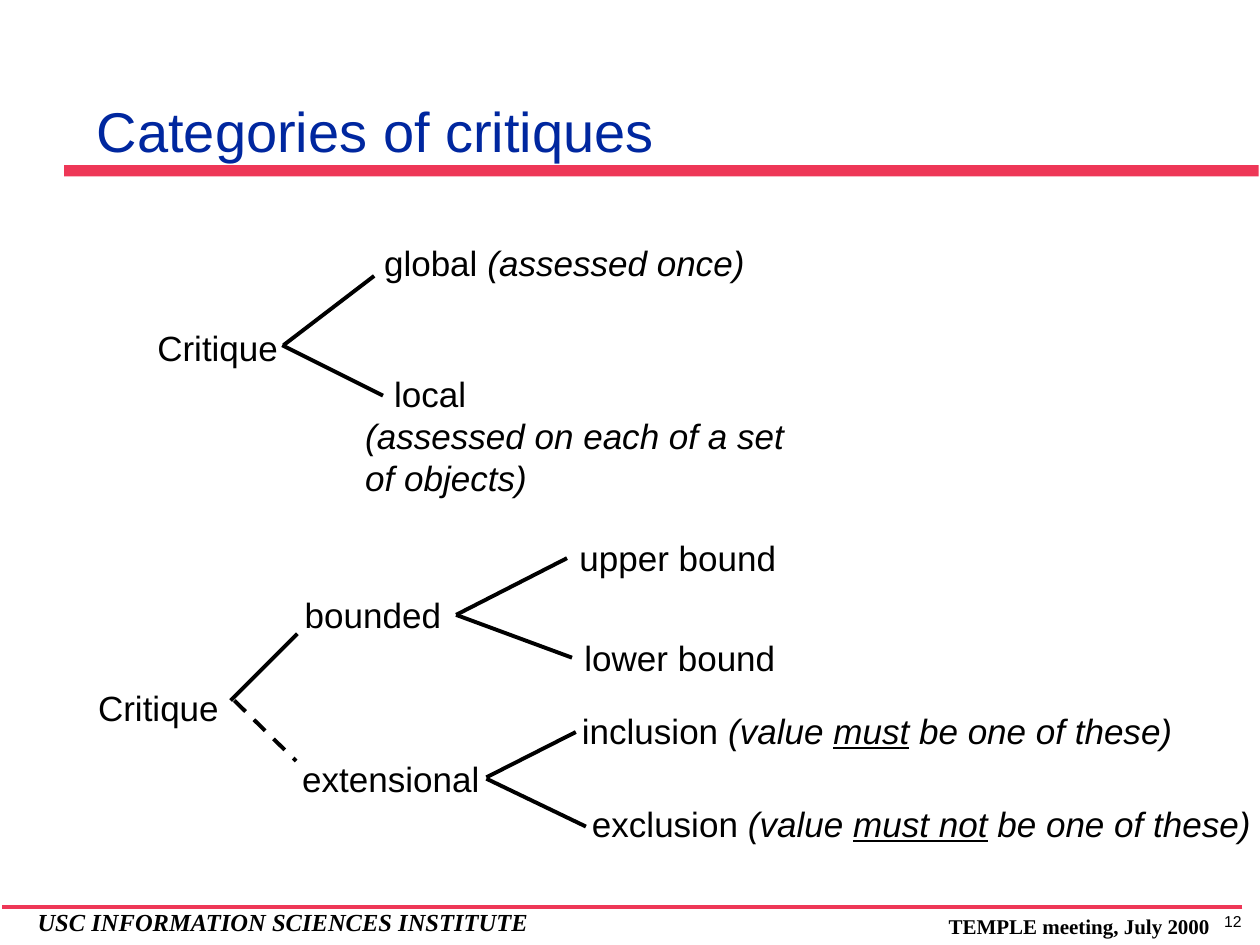
from pptx import Presentation
from pptx.dml.color import RGBColor
from pptx.enum.dml import MSO_LINE
from pptx.enum.shapes import MSO_CONNECTOR, MSO_SHAPE
from pptx.enum.text import MSO_ANCHOR, MSO_AUTO_SIZE, PP_ALIGN
from pptx.oxml.ns import qn
from pptx.util import Inches, Pt
from lxml import etree

BLACK = RGBColor(0x00, 0x00, 0x00)
BLUE = RGBColor(0x00, 0x27, 0x9F)
RED = RGBColor(0xEE, 0x37, 0x57)
SANS, SERIF = "Arial", "Times New Roman"
RECT, LINE = MSO_SHAPE.RECTANGLE, MSO_CONNECTOR.STRAIGHT
CENTER, BOTTOM, TOP = PP_ALIGN.CENTER, MSO_ANCHOR.BOTTOM, MSO_ANCHOR.TOP
DASH = MSO_LINE.DASH
GROW, FIXED = MSO_AUTO_SIZE.SHAPE_TO_FIT_TEXT, MSO_AUTO_SIZE.NONE
LEFT_SIDE, RIGHT_SIDE = 1, 3


class Page:
    def __init__(self, slide, font=SANS, size=20, color=BLACK):
        self.slide = slide
        self.font, self.size, self.color = font, size, color

    def bar(self, x, y, w, h, color):
        shape = self.slide.shapes.add_shape(
            RECT, Inches(x), Inches(y), Inches(w), Inches(h))
        shape.shadow.inherit = False
        shape.fill.solid()
        shape.fill.fore_color.rgb = color
        shape.line.fill.background()

    def text(self, at, *paras, font=None, size=None, color=None, bold=False,
             italic=False, align=None, anchor=TOP, wrap=False, indent=0):
        """Each paragraph is a string or a list of (text, marks), marks from "iu".

        The indent applies to the first paragraph.
        """
        box = self.slide.shapes.add_textbox(*map(Inches, at))
        frame = box.text_frame
        frame.word_wrap = wrap
        frame.auto_size = FIXED if wrap else GROW
        frame.vertical_anchor = anchor
        for i, runs in enumerate(paras):
            para = frame.paragraphs[0] if i == 0 else frame.add_paragraph()
            para.alignment = align
            if indent and i == 0:
                para._p.get_or_add_pPr().set("marL", str(Inches(indent)))
            for words, marks in [(runs, "")] if isinstance(runs, str) else runs:
                run = para.add_run()
                run.text = words
                style = run.font
                style.name = font or self.font
                style.size = Pt(size or self.size)
                style.color.rgb = color or self.color
                style.bold = bold
                style.italic = italic or "i" in marks
                style.underline = "u" in marks
        return box

    def line(self, start, end, color=BLACK, width=2.25, dash=None):
        link = self.slide.shapes.add_connector(
            LINE, *map(Inches, (*start, *end)))
        link.line.color.rgb = color
        link.line.width = Pt(width)
        if dash:
            link.line.dash_style = dash
        etree.SubElement(link._element.spPr, qn("a:effectLst"))
        return link

    def join(self, left, right):
        link = self.line((0, 0), (1, 1))
        link.begin_connect(left, RIGHT_SIDE)
        link.end_connect(right, LEFT_SIDE)


def rule(must):
    return [("(value ", "i"), (must, "iu"), (" be one of these)", "i")]


def main():
    deck = Presentation()
    deck.slide_width, deck.slide_height = Inches(10), Inches(7.5)
    page = Page(deck.slides.add_slide(deck.slide_layouts[6]))

    # Title and footer
    page.bar(0.51, 1.31, 9.48, 0.09, RED)
    page.text((9.4, 7.19, 0.77, 0.25), "12", size=9, align=CENTER)
    page.line((9.86, 7.2), (0.02, 7.2), color=RED, width=2)
    page.text((0.2, 7.15, 4.36, 0.33), "USC INFORMATION SCIENCES INSTITUTE",
              font=SERIF, size=14, bold=True, italic=True, wrap=True)
    page.text((7.43, 7.2, 2.28, 0.3), "TEMPLE meeting, July 2000",
              font=SERIF, size=12, bold=True, wrap=True)
    page.text((0.67, 0.09, 8.48, 1.26), "Categories of critiques",
              size=32, color=BLUE, anchor=BOTTOM, wrap=True)

    # Scope tree
    page.text((1.15, 2.54, 1.16, 0.44), "Critique")
    page.text((2.95, 1.87, 4, 0.44),
              [("global ", ""), ("(assessed once)", "i")], wrap=True)
    page.text((2.8, 2.91, 3.65, 1.1), "local",
              [("(assessed on each of a set of objects)", "i")],
              wrap=True, indent=0.23)
    page.line((2.25, 2.74), (2.97, 2.19))
    page.line((2.24, 2.74), (3.04, 3.14))

    # Value tree
    page.text((0.68, 5.4, 1.16, 0.44), "Critique")
    bound = page.text((2.32, 4.66, 1.3, 0.44), "bounded")
    page.text((2.3, 5.96, 1.61, 0.44), "extensional")
    upper = page.text((4.5, 4.21, 1.78, 0.44), "upper bound")
    lower = page.text((4.54, 5, 1.74, 0.44), "lower bound")
    page.text((4.52, 5.58, 4.89, 0.44), [("inclusion ", "")] + rule("must"))
    page.text((4.6, 6.32, 5.43, 0.44), [("exclusion ", "")] + rule("must not"))
    page.line((1.83, 5.56), (2.36, 5.03))
    page.line((1.86, 5.56), (2.35, 6.04), dash=DASH)
    page.join(bound, upper)
    page.join(bound, lower)
    page.line((3.86, 6.17), (4.57, 5.81))
    page.line((3.86, 6.18), (4.65, 6.56))

    deck.save("out.pptx")


if __name__ == "__main__":
    main()
